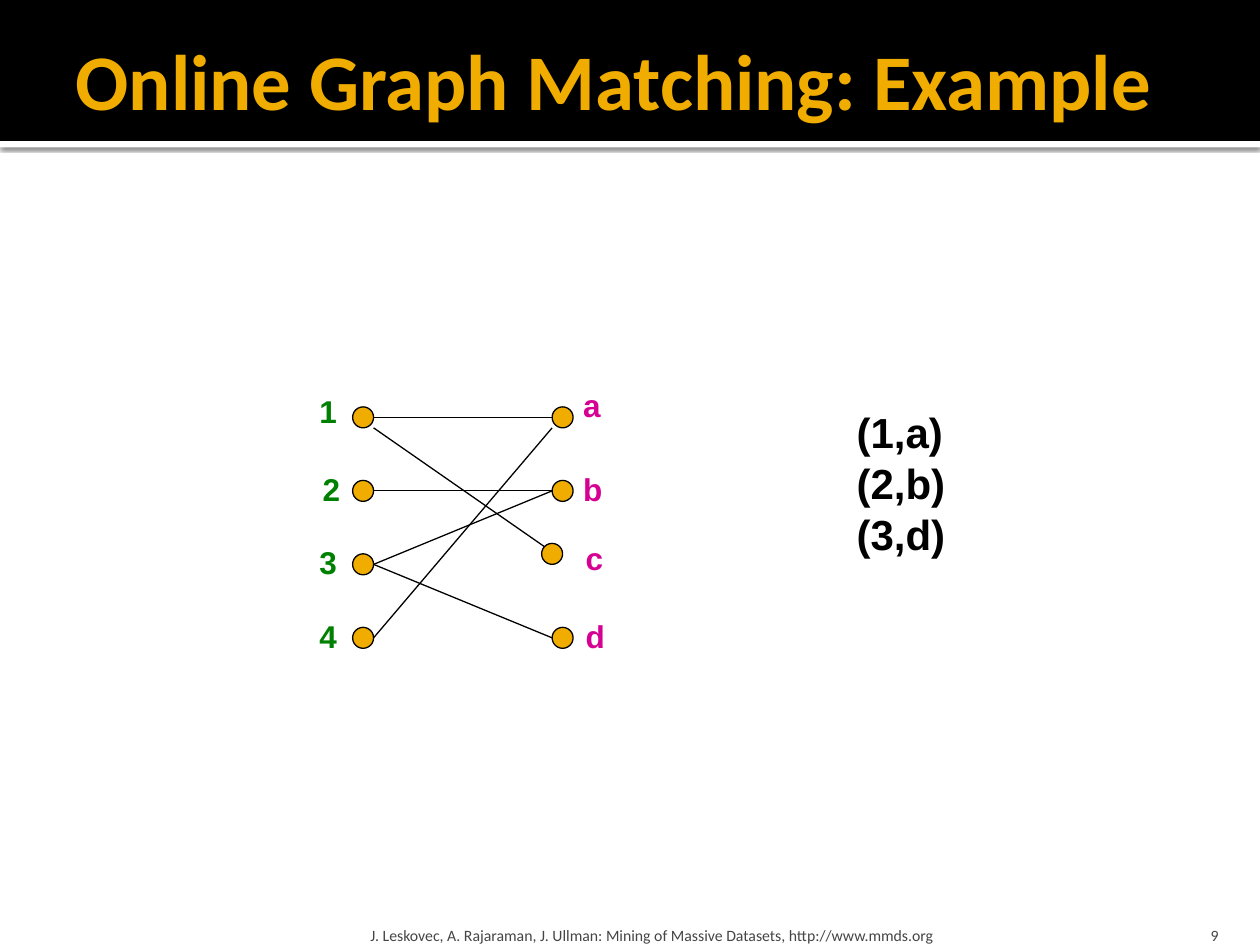
import pptx
import pptx.util
import pptx.dml.color
import pptx.enum.shapes
import pptx.enum.text
import pptx.oxml
import pptx.oxml.ns

Pt = pptx.util.Pt
Anchor = pptx.enum.text.MSO_ANCHOR
Align = pptx.enum.text.PP_ALIGN
Shape = pptx.enum.shapes.MSO_SHAPE


def color(value):
    return pptx.dml.color.RGBColor.from_string(value)


def add_effects(shape, content=""):
    namespace = pptx.oxml.ns.nsdecls("a")
    effects = f"<a:effectLst {namespace}>{content}</a:effectLst>"
    shape.element.spPr.append(pptx.oxml.parse_xml(effects))


class GraphSlide:
    gold, black, white = "F0AD00", "000000", "FFFFFF"
    green, magenta, gray = "008000", "D60093", "454545"
    node_size = 12
    line_width = 0.75

    def __init__(self, presentation):
        self.slide = presentation.slides.add_slide(presentation.slide_layouts[5])
        self.shapes = self.slide.shapes

    def set_text(self, shape, text, size, fill, font="Arial", bold=True,
                 align=Align.LEFT, anchor=Anchor.TOP, insets=(7.2, 3.6, 7.2, 3.6)):
        frame = shape.text_frame
        frame.vertical_anchor = anchor
        (frame.margin_left, frame.margin_top,
         frame.margin_right, frame.margin_bottom) = map(Pt, insets)
        paragraph = frame.paragraphs[0]
        paragraph.alignment = align
        run = paragraph.add_run()
        run.text = text
        run.font.name = font
        run.font.size = Pt(size)
        run.font.bold = bold
        run.font.color.rgb = color(fill)

    def title(self, text, left, top, width, height):
        title = self.slide.shapes.title
        title.left, title.top, title.width, title.height = map(
            Pt, (left, top, width, height))
        title.text_frame.word_wrap = True
        title.text_frame.auto_size = pptx.enum.text.MSO_AUTO_SIZE.NONE
        self.set_text(title, text, 45, self.gold, "Calibri",
                      anchor=Anchor.MIDDLE, insets=(7.2, 3.6, 3.6, 3.6))
        title.element.getparent().append(title.element)

    def bar(self, top, height, fill):
        bar = self.shapes.add_shape(Shape.RECTANGLE, 0, Pt(top), Pt(720), Pt(height))
        bar.shadow.inherit = False
        bar.fill.solid()
        bar.fill.fore_color.rgb = color(fill)
        bar.line.fill.background()
        return bar

    def footer(self, text, left, width, align, insets):
        box = self.shapes.add_textbox(Pt(left), Pt(518.4), Pt(width), Pt(21.6))
        box.text_frame.word_wrap = True
        self.set_text(box, text, 9, self.gray, "Calibri", False, align,
                      Anchor.BOTTOM, insets)

    def label(self, text, left, top, width, height, size, fill):
        box = self.shapes.add_textbox(Pt(left), Pt(top), Pt(width), Pt(height))
        box.text_frame.word_wrap = False
        box.text_frame.auto_size = pptx.enum.text.MSO_AUTO_SIZE.SHAPE_TO_FIT_TEXT
        self.set_text(box, text, size, fill)

    def node(self, center_x, center_y):
        radius = self.node_size / 2
        node = self.shapes.add_shape(
            Shape.OVAL, Pt(center_x - radius), Pt(center_y - radius),
            Pt(self.node_size), Pt(self.node_size))
        node.shadow.inherit = False
        node.fill.solid()
        node.fill.fore_color.rgb = color(self.gold)
        node.line.color.rgb = color(self.black)
        node.line.width = Pt(self.line_width)

    def edge(self, start, end):
        edge = self.shapes.add_connector(
            pptx.enum.shapes.MSO_CONNECTOR.STRAIGHT, *map(Pt, (*start, *end)))
        edge.line.color.rgb = color(self.black)
        edge.line.width = Pt(self.line_width)
        add_effects(edge)

    def group(self):
        self.shapes = self.slide.shapes.add_group_shape().shapes

    def end_group(self):
        self.shapes = self.slide.shapes


presentation = pptx.Presentation()
presentation.slide_width, presentation.slide_height = Pt(720), Pt(540)
graph = GraphSlide(presentation)

stripe = graph.bar(80.6, 3.6, graph.white)
stripe.shadow.inherit = True
add_effects(stripe, '<a:outerShdw blurRad="31750" dist="10160" dir="5400000" '
                    'algn="tl" rotWithShape="0"><a:srgbClr val="000000">'
                    '<a:alpha val="60000"/></a:srgbClr></a:outerShdw>')
graph.bar(0, 80.6, graph.black)
graph.title("Online Graph Matching: Example", 36, 12.2, 684, 66.2)
graph.footer("J. Leskovec, A. Rajaraman, J. Ullman: Mining of Massive Datasets, "
             "http://www.mmds.org", 208, 433.4, Align.LEFT, (3.6, 3.6, 3.6, 0))
graph.footer("9", 645.8, 57.6, Align.RIGHT, (7.2, 3.6, 7.2, 0))

left_x, right_x = 207.5, 321.5
rows = [238.5 + 42 * index for index in range(4)]
for row in rows:
    graph.node(left_x, row)
for text, left, top in (("1", 175.5, 220.5), ("2", 177.3, 265),
                        ("3", 175.5, 307), ("4", 175.5, 349)):
    graph.label(text, left, top, 24.2, 29, 18, graph.green)

start_x, end_x = left_x + 6, right_x - 6
right_nodes = (
    ("a", right_x, rows[0], 326.2, 217,
     ((rows[0], (end_x, rows[0])), (rows[3], (end_x, rows[0] + 6)))),
    ("b", right_x, rows[1], 326.2, 265,
     ((rows[1], (end_x, rows[1])), (rows[2], (end_x, rows[1])))),
    ("c", 315.5, 316.5, 327.6, 304.6, ((rows[0] + 6, (311, 312.3)),)),
    ("d", right_x, rows[3], 327.6, 349, ((rows[2], (end_x, rows[3])),)),
)
for text, center_x, center_y, label_left, label_top, edges in right_nodes:
    graph.group()
    graph.node(center_x, center_y)
    for start_y, end in edges:
        graph.edge((start_x, start_y), end)
    graph.label(text, label_left, label_top, 25.5, 29, 18, graph.magenta)
graph.end_group()

for index, pair in enumerate(("(1,a)", "(2,b)", "(3,d)")):
    graph.label(pair, 482.4, 228.8 + 29.2 * index, 65, 36, 24, graph.black)

presentation.save("out.pptx")
